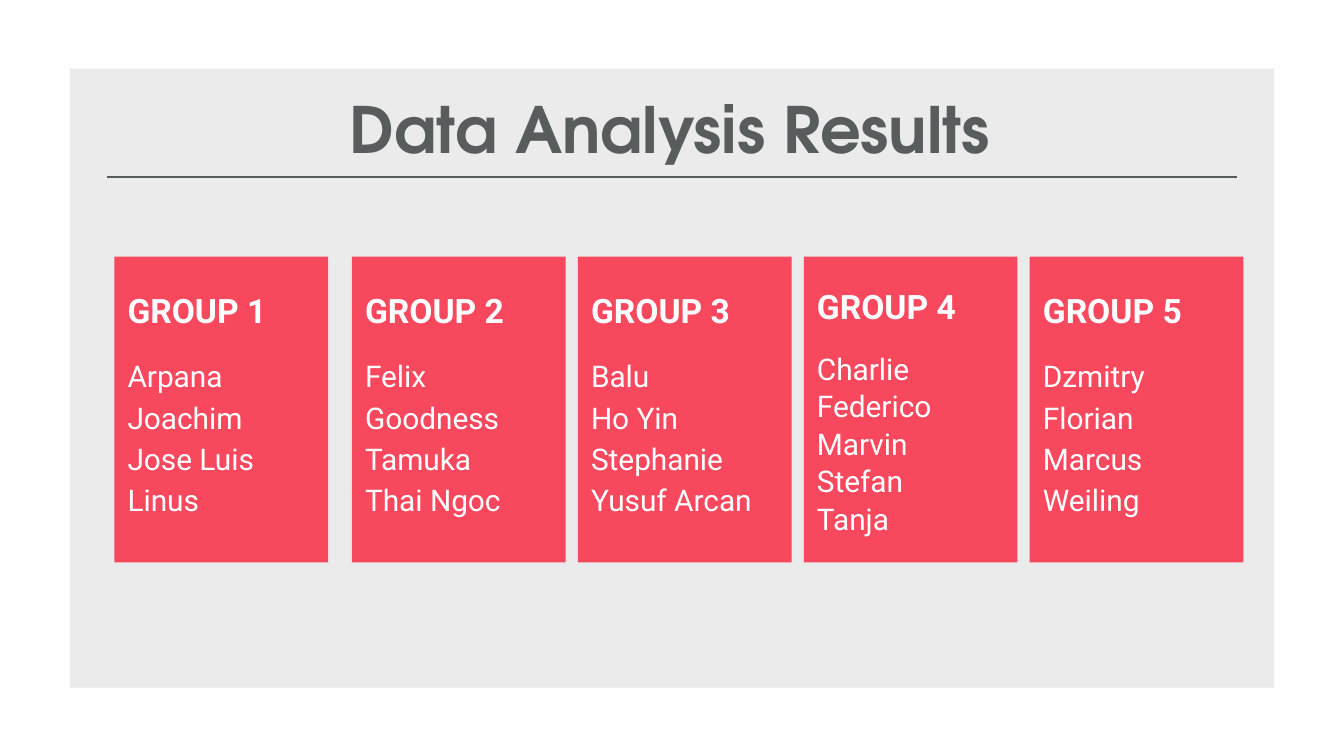
from copy import deepcopy

from lxml.etree import SubElement
from pptx import Presentation
from pptx.dml.color import RGBColor
from pptx.enum.shapes import MSO_CONNECTOR as Connector, MSO_SHAPE as Shape
from pptx.enum.text import MSO_ANCHOR as Anchor, MSO_AUTO_SIZE as AutoSize, PP_ALIGN as Align
from pptx.oxml.ns import qn
from pptx.util import Cm, Pt

WHITE = RGBColor(0xFF, 0xFF, 0xFF)
PALE_GREY = RGBColor(0xEB, 0xEB, 0xEB)
DARK_GREY = RGBColor(0x59, 0x5C, 0x5D)
CORAL = RGBColor(0xF8, 0x48, 0x5E)

TITLE_FONT = {"name": "TeX Gyre Adventor", "size": Pt(34.2), "bold": True}
HEADING_FONT = {"name": "Roboto", "size": Pt(18), "bold": True}
NAME_FONT = {"name": "Roboto", "size": Pt(16), "bold": False}
FRAME = {"word_wrap": True, "auto_size": AutoSize.NONE, "vertical_anchor": Anchor.TOP,
         **{f"margin_{side}": Cm(0.25) for side in ("left", "top", "right", "bottom")}}

GROUPS = [
    ["Arpana", "Joachim", "Jose Luis", "Linus"],
    ["Felix", "Goodness", "Tamuka", "Thai Ngoc"],
    ["Balu", "Ho Yin", "Stephanie", "Yusuf Arcan"],
    ["Charlie", "Federico", "Marvin", "Stefan", "Tanja"],
    ["Dzmitry", "Florian", "Marcus", "Weiling"],
]


def set_attributes(target, values):
    for name, value in values.items():
        setattr(target, name, value)


def place(shape, left, top, width, height):
    set_attributes(shape, {"left": left, "top": top, "width": width, "height": height})


def write_line(para, text, font, color, **layout):
    span = para.add_run()
    span.text = text
    set_attributes(span.font, font)
    span.font.color.rgb = color
    set_attributes(para, {"space_before": Pt(0), "space_after": Pt(0), **layout})


def remove_bullet(para):
    properties = para._p.get_or_add_pPr()
    properties.set("marL", "0")
    properties.set("indent", "0")
    SubElement(properties, qn("a:buNone"))


def add_panel(page, left, top, width, height):
    """Put the grey panel behind everything else and rule a line under its title."""
    panel = page.shapes.add_shape(Shape.RECTANGLE, left, top, width, height)
    panel.shadow.inherit = False
    panel.fill.solid()
    panel.fill.fore_color.rgb = PALE_GREY
    panel.line.fill.background()
    page.shapes.title.element.addprevious(panel.element)

    margin, line_top = Cm(0.7), top + Cm(2.05)
    rule = page.shapes.add_connector(Connector.STRAIGHT, left + margin, line_top,
                                     left + width - margin, line_top)
    rule.line.color.rgb = DARK_GREY
    rule.line.width = Pt(0.75)
    SubElement(rule.element.spPr, qn("a:effectLst"))


def fill_title(page, text, left, top, width, height):
    title = page.shapes.title
    place(title, left, top, width, height)
    set_attributes(title.text_frame, FRAME)
    write_line(title.text_frame.paragraphs[0], text, TITLE_FONT, DARK_GREY,
               alignment=Align.CENTER)


def fill_card(card, heading, names, left, top, width, height):
    place(card, left, top, width, height)
    card.fill.solid()
    card.fill.fore_color.rgb = CORAL
    frame = card.text_frame
    set_attributes(frame, FRAME)

    tighter = 0.1 if len(names) > 4 else 0
    write_line(frame.paragraphs[0], heading, HEADING_FONT, WHITE,
               line_spacing=1.5 - tighter)
    for index, name in enumerate(names):
        write_line(frame.add_paragraph(), name, NAME_FONT, WHITE,
                   line_spacing=1.15 - tighter, space_before=Pt(0 if index else 12))
    for para in frame.paragraphs:
        remove_bullet(para)


def copy_body(page, body):
    """Add one more list placeholder like the given one."""
    element = deepcopy(body.element)
    element.nvSpPr.cNvPr.set("id", str(max(shape.shape_id for shape in page.shapes) + 1))
    page.shapes[-1].element.addnext(element)
    return page.shapes[-1]


def add_groups(page, left, top, width, height):
    """Fill the box with cards; the first stands a little apart from the rest."""
    card_width, gap, first_gap = Cm(4.04), Cm(0.23), Cm(0.45)
    body = page.placeholders[1]
    cards = [body] + [copy_body(page, body) for _ in GROUPS[1:]]
    last = len(GROUPS) - 1
    for index, (card, names) in enumerate(zip(cards, GROUPS)):
        card_left = left + width - card_width - (last - index) * (card_width + gap)
        if index == 0:
            card_left -= first_gap - gap
        fill_card(card, f"GROUP {index + 1}", names, card_left, top, card_width, height)


def main():
    deck = Presentation()
    deck.slide_width, deck.slide_height = Cm(25.4), Cm(14.29)
    page = deck.slides.add_slide(deck.slide_layouts[1])
    add_panel(page, Cm(1.32), Cm(1.3), Cm(22.76), Cm(11.7))
    fill_title(page, "Data Analysis Results", Cm(1.8), Cm(1.45), Cm(21.72), Cm(1.6))
    add_groups(page, Cm(2.17), Cm(4.85), Cm(21.33), Cm(5.78))
    deck.save("out.pptx")


if __name__ == "__main__":
    main()
